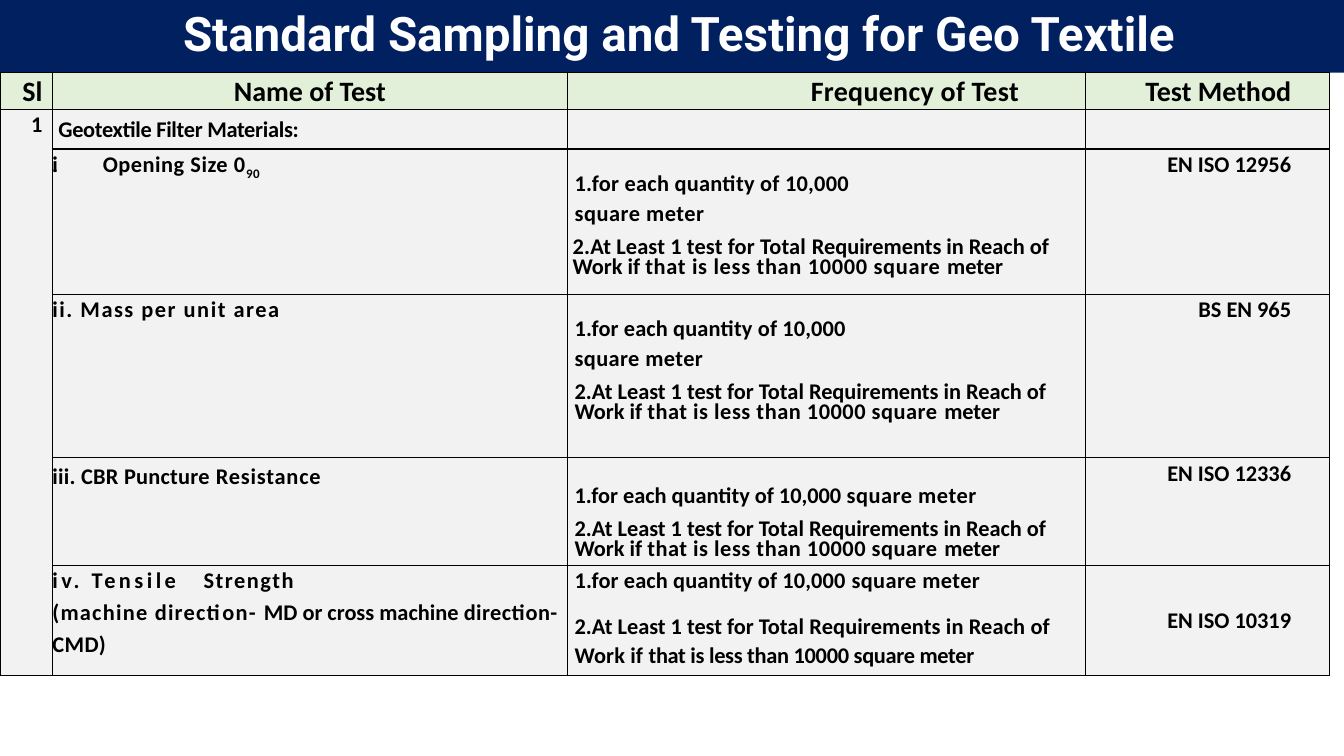
from dataclasses import dataclass
from lxml import etree
from pptx import Presentation
from pptx import util as u
from pptx.dml.color import RGBColor
from pptx.enum import shapes, text
from pptx.oxml.ns import qn


@dataclass
class Para:
    """One paragraph: runs of (wording, letter spacing in points, optional baseline in %)."""
    runs: list
    line: float = 1.07  # a multiple, or exact points when above 3
    before: float = 0
    after: float = 8
    indent: float = 0
    tab: float = 0


@dataclass
class Entry:
    """The contents of one table cell."""
    paras: list
    top: float = 0  # gap above the text, in points
    right: float = 0
    align: str = "left"
    middle: bool = False


class Theme:
    navy, white, black = "002060", "FFFFFF", "000000"
    header_fill, body_fill = "E2F0D9", "F2F2F2"
    title_font, body_font = "Roboto", "Calibri"
    title_size, header_size, body_size = 34, 20, 16
    border = 1


TITLE = "Standard Sampling and Testing for Geo Textile"
EACH = "1.for each quantity of 10,000"
LEAST = "2.At Least 1 test for Total "
REACH = "Requirements in Reach of Work if "
LESS = "that is less than 10000 square "
METER = "square meter"
METHOD_RIGHT = 0.97


def label(wording, right, align="right", spacing=0, middle=True):
    return Entry([Para([(wording, spacing)])], right=right, align=align, middle=middle)


def method(wording, middle=False):
    return label(wording, METHOD_RIGHT, middle=middle)


HEADER = [
    label("Sl", 0.25),
    label("Name of Test", 0, "center"),
    label("Frequency of Test", 1.68, spacing=0.2),
    label("Test Method", METHOD_RIGHT),
]
GROUP = [
    label("1", 0.25, middle=False),
    Entry([Para([("Geotextile Filter Materials:", -0.2)], indent=0.15)], middle=True),
    None, None,
]
OPENING = [
    None,
    Entry([Para([("i.\t", -4.2), ("Opening Size 0", 0.4), ("90", 0.4, -25)], tab=0.95)]),
    Entry([
        Para([(EACH, 0.2)], 13.3, indent=0.18),
        Para([(METER, 0.4)], 13.3, indent=0.18),
        Para([(LEAST, 0.1), (REACH, 0), (LESS, 0.5), ("meter", 0)], 14.1, 1.8, indent=0.13),
    ], top=21.3),
    method("EN ISO 12956"),
]
MASS = [
    None,
    Entry([Para([("ii. Mass per unit area", 1.1)], after=0)]),
    Entry([
        Para([(EACH, 0.1)], 13.3, indent=0.18),
        Para([(METER, 0.3)], 13.2, indent=0.18),
        Para([(LEAST + REACH, 0), (LESS, 0.4), ("meter", 0)], 14.2, 1.8, indent=0.18),
    ], top=21.3),
    method("BS EN 965"),
]
PUNCTURE = [
    None,
    Entry([Para([("iii. CBR Puncture ", 0.2), ("Resistance", 0.6)], 1.18, after=0)]),
    Entry([
        Para([(EACH + " ", 0), (METER, 0.4)], 14.4, indent=0.18),
        Para([(LEAST + REACH, 0), (LESS, 0.4), ("meter", 0)], 14.1, 1.8, indent=0.18),
    ], top=22.4),
    method("EN ISO 12336"),
]
TENSILE = [
    None,
    Entry([
        Para([("iv. Tensile\t", 2.5), ("Strength", 1.1)], after=0, tab=5.08),
        Para([("(machine direction- ", 0.9), ("MD or cross machine ", 0),
              ("direction-CMD)", 0.3)], 1.17),
    ]),
    Entry([
        Para([(EACH + " ", 0.1), (METER, 0.3)], indent=0.18),
        Para([(LEAST, 0), (REACH, 0.1), (LESS + "meter", -0.2)], before=3.6, indent=0.18),
    ]),
    method("EN ISO 10319", middle=True),
]
ROWS = [HEADER, GROUP, OPENING, MASS, PUNCTURE, TENSILE]
COLUMN_WIDTHS = [1.32, 12.98, 13.06, 6.15]
ROW_HEIGHTS = [0.92, 1.0, 3.66, 4.12, 2.71, 2.77]
TITLE_WIDTH, TITLE_HEIGHT = 34.24, 1.83
ALIGN = {"left": text.PP_ALIGN.LEFT, "center": text.PP_ALIGN.CENTER,
         "right": text.PP_ALIGN.RIGHT}


def style(span, font, size, color):
    span.font.name, span.font.size, span.font.bold = font, u.Pt(size), True
    span.font.color.rgb = RGBColor.from_string(color)


def paint(target, color):
    target.fill.solid()
    target.fill.fore_color.rgb = RGBColor.from_string(color)


def add_borders(cell):
    properties = cell._tc.get_or_add_tcPr()
    for place, side in enumerate(("a:lnL", "a:lnR", "a:lnT", "a:lnB")):
        line = etree.Element(qn(side), w=str(u.Pt(Theme.border)))
        fill = etree.SubElement(line, qn("a:solidFill"))
        etree.SubElement(fill, qn("a:srgbClr"), val=Theme.black)
        properties.insert(place, line)


def fill_paragraph(para, content, align, size):
    para.alignment = ALIGN[align]
    para.line_spacing = u.Pt(content.line) if content.line > 3 else content.line
    para.space_before, para.space_after = u.Pt(content.before), u.Pt(content.after)
    properties = para._p.get_or_add_pPr()
    properties.set("marL", str(u.Cm(content.indent)))
    properties.set("indent", "0")
    if content.tab:
        tabs = etree.SubElement(properties, qn("a:tabLst"))
        etree.SubElement(tabs, qn("a:tab"), pos=str(u.Cm(content.tab)), algn="l")
    for wording, spacing, *baseline in content.runs:
        span = para.add_run()
        span.text = wording
        style(span, Theme.body_font, size, Theme.black)
        span.font._element.set("spc", str(round(spacing * 100)))
        if baseline:
            span.font._element.set("baseline", str(baseline[0] * 1000))


def fill_cell(cell, entry, size, color):
    cell.margin_left = cell.margin_right = cell.margin_top = cell.margin_bottom = 0
    paint(cell, color)
    add_borders(cell)
    if entry is None:
        return
    cell.margin_top, cell.margin_right = u.Pt(entry.top), u.Cm(entry.right)
    cell.vertical_anchor = text.MSO_ANCHOR.MIDDLE if entry.middle else text.MSO_ANCHOR.TOP
    frame = cell.text_frame
    for number, content in enumerate(entry.paras):
        para = frame.add_paragraph() if number else frame.paragraphs[0]
        fill_paragraph(para, content, entry.align, size)


def add_title(page):
    box = page.shapes.add_shape(shapes.MSO_SHAPE.RECTANGLE, 0, 0,
                                u.Cm(TITLE_WIDTH), u.Cm(TITLE_HEIGHT))
    box.shadow.inherit = False
    paint(box, Theme.navy)
    box.line.fill.background()
    frame = box.text_frame
    frame.text = TITLE
    frame.vertical_anchor = text.MSO_ANCHOR.MIDDLE
    para = frame.paragraphs[0]
    para.alignment, para.line_spacing = text.PP_ALIGN.CENTER, 0.9
    style(para.runs[0], Theme.title_font, Theme.title_size, Theme.white)


def add_tests(page):
    table = page.shapes.add_table(len(ROWS), len(COLUMN_WIDTHS), 0, u.Cm(TITLE_HEIGHT),
                                  u.Cm(sum(COLUMN_WIDTHS)), u.Cm(sum(ROW_HEIGHTS))).table
    for column, width in zip(table.columns, COLUMN_WIDTHS):
        column.width = u.Cm(width)
    for row, height, entries in zip(table.rows, ROW_HEIGHTS, ROWS):
        row.height = u.Cm(height)
        header = entries is HEADER
        size = Theme.header_size if header else Theme.body_size
        color = Theme.header_fill if header else Theme.body_fill
        for cell, entry in zip(row.cells, entries):
            fill_cell(cell, entry, size, color)
    table.cell(1, 0).merge(table.cell(len(ROWS) - 1, 0))


def main():
    deck = Presentation()
    deck.slide_width, deck.slide_height = u.Cm(33.87), u.Cm(19.05)
    page = deck.slides.add_slide(deck.slide_layouts[6])
    add_title(page)
    add_tests(page)
    deck.save("out.pptx")


if __name__ == "__main__":
    main()
